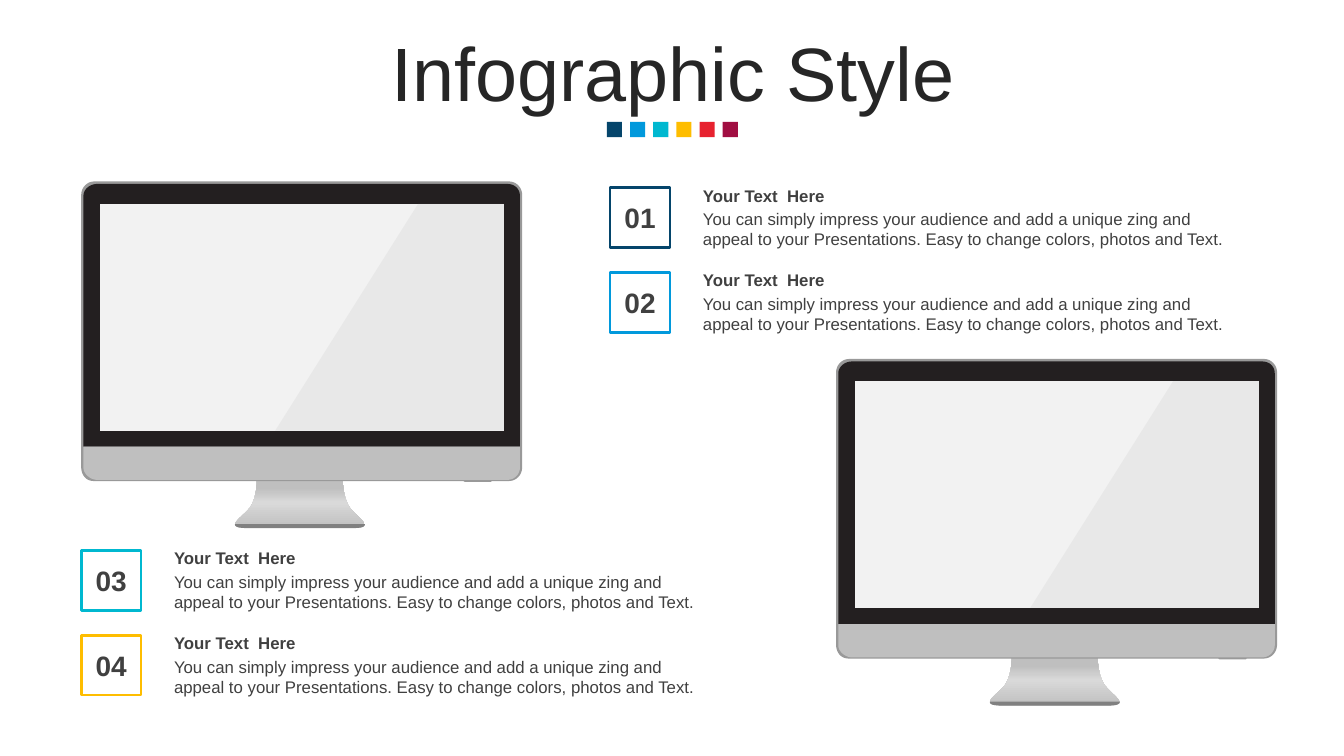
from dataclasses import dataclass
from typing import NamedTuple

from lxml import etree
from pptx import Presentation
from pptx.dml.color import RGBColor
from pptx.enum.shapes import MSO_SHAPE as Preset
from pptx.enum.text import MSO_ANCHOR as Anchor, PP_ALIGN as Align
from pptx.oxml.ns import qn
from pptx.util import Pt


@dataclass(frozen=True)
class Theme:
    font: str = "Arial"
    title_size: int = 54
    number_size: int = 20
    body_size: int = 12
    title: str = "262626"
    text: str = "404040"
    edge: str = "999999"
    bezel: str = "231F20"
    chin: str = "BFBFBF"
    screen: str = "F2F2F2"
    foot: str = "808080"
    stand: tuple = ((0, "BFBFBF"), (53, "D9D9D9"), (83, "BFBFBF"), (100, "BFBFBF"))
    accents: tuple = ("05456B", "0199DC", "00B8D0", "FEBD00", "E7222F", "A10E42")


class Part(NamedTuple):
    """Outline in points from the monitor's corner; six numbers make a curve."""
    outline: tuple
    color: str = ""
    alpha: int = 100


class Column(NamedTuple):
    left: float
    top: float
    first: int


THEME = Theme()
HEADING = "Your Text  Here"
BODY = ("You can simply impress your audience and add a unique zing and "
        "appeal to your Presentations. Easy to change colors, photos and Text.")
CURVE_STEPS = 12

# Monitor, back to front; the stand has no single colour and takes the gradient
MONITOR = (
    Part(((193.3, 234.7), (186.8, 228.2, 186.8, 213.2, 186.8, 213.2), (125.6, 213.2),
          (125.6, 213.2, 125.6, 228.2, 119.1, 234.7),
          (112, 242, 101.9, 247.7, 119.9, 247.7), (192.6, 247.7),
          (210.6, 247.7, 199.8, 242, 193.3, 234.7))),
    Part(((305.6, 0), (9.4, 0), (4.3, 0, 0, 4.3, 0, 9.7), (0, 204),
          (0, 209.7, 3.6, 214, 8.7, 214), (305.6, 214),
          (310.7, 214, 315, 209.7, 315, 204), (315, 9.7),
          (315, 4.3, 310.7, 0, 305.6, 0)), THEME.edge),
    Part(((273.2, 213.2), (273.2, 213.2, 272.5, 214.6, 274.7, 214.6), (291.9, 214.6),
          (291.9, 214.6, 293.4, 215, 293.4, 213.2)), THEME.edge),
    Part(((304.2, 1.8), (11.5, 1.8), (6.5, 1.8, 1.6, 5.4, 1.6, 10.5), (1.6, 189.4),
          (313.4, 189.4), (313.4, 10.5), (313.4, 5.4, 309.8, 1.8, 304.2, 1.8)),
         THEME.bezel),
    Part(((109.8, 244.8), (109.8, 247, 112.7, 247.7, 120.6, 247.7), (192.6, 247.7),
          (199.8, 247.7, 202.7, 247, 202.7, 244.8)), THEME.foot),
    Part(((1.6, 204.5), (1.6, 208.8, 6.5, 213.2, 11.5, 213.2), (304.2, 213.2),
          (309.8, 213.2, 313.4, 208.8, 313.4, 204.5), (313.4, 189.4), (1.6, 189.4)),
         THEME.chin),
    Part(((13.4, 15.8), (302, 15.8), (302, 178), (13.4, 178)), THEME.screen),
    Part(((240.8, 15.8), (302, 15.8), (302, 178), (138.6, 178)), THEME.edge, 10),
)


def rgb(color: str) -> RGBColor:
    return RGBColor.from_string(color)


def flatten(outline: tuple) -> list:
    """Turn lines and cubic curves into one list of points."""
    points = [outline[0]]
    for step in outline[1:]:
        if len(step) == 2:
            points.append(step)
            continue
        corners = (points[-1], step[:2], step[2:4], step[4:])
        for i in range(1, CURVE_STEPS + 1):
            t = i / CURVE_STEPS
            weights = ((1 - t) ** 3, 3 * t * (1 - t) ** 2, 3 * t * t * (1 - t), t ** 3)
            points.append(tuple(sum(w * c[axis] for w, c in zip(weights, corners))
                                for axis in (0, 1)))
    return points


def fill_gradient(shape, stops: tuple) -> None:
    shape.fill.gradient()
    shape.fill.gradient_angle = 90
    stop_list = next(shape.element.iter(qn("a:gsLst")))
    for old in list(stop_list):
        stop_list.remove(old)
    for position, color in stops:
        stop = etree.SubElement(stop_list, qn("a:gs"), pos=str(position * 1000))
        etree.SubElement(stop, qn("a:srgbClr"), val=color)


def fill_solid(shape, color: str, alpha: int = 100) -> None:
    shape.fill.solid()
    shape.fill.fore_color.rgb = rgb(color)
    if alpha < 100:
        solid = next(shape.element.iter(qn("a:srgbClr")))
        etree.SubElement(solid, qn("a:alpha"), val=str(alpha * 1000))


def draw_monitor(shapes, left: float, top: float) -> None:
    for part in MONITOR:
        points = [(Pt(left + x), Pt(top + y)) for x, y in flatten(part.outline)]
        builder = shapes.build_freeform(*points[0])
        builder.add_line_segments(points[1:], close=True)
        piece = builder.convert_to_shape()
        piece.shadow.inherit = False
        if part.color:
            fill_solid(piece, part.color, part.alpha)
        else:
            fill_gradient(piece, THEME.stand)
        piece.line.fill.background()


def add_square(shapes, left: float, top: float, side: float):
    square = shapes.add_shape(Preset.RECTANGLE, Pt(left), Pt(top), Pt(side), Pt(side))
    square.shadow.inherit = False
    return square


def write(shape, words: str, size: int, color: str, bold: bool = False,
          align: Align = Align.LEFT, anchor: Anchor = Anchor.TOP):
    frame = shape.text_frame
    frame.word_wrap = True
    frame.vertical_anchor = anchor
    paragraph = frame.paragraphs[0]
    paragraph.text = words
    paragraph.alignment = align
    font = paragraph.font
    font.name, font.size, font.bold = THEME.font, Pt(size), bold
    font.color.rgb = rgb(color)
    return paragraph


def add_text(shapes, left: float, top: float, width: float, height: float, *args, **kw):
    box = shapes.add_textbox(Pt(left), Pt(top), Pt(width), Pt(height))
    return write(box, *args, **kw)


def draw_item(shapes, left: float, top: float, number: int) -> None:
    badge = add_square(shapes, left, top, 42.8)
    badge.fill.background()
    badge.line.color.rgb = rgb(THEME.accents[number - 1])
    badge.line.width = Pt(2)
    badge.text_frame.margin_left = badge.text_frame.margin_right = 0
    write(badge, f"{number:02}", THEME.number_size, THEME.text, True,
          Align.CENTER, Anchor.MIDDLE)
    add_text(shapes, left + 59.2, top + 11.6, 402.5, 36, BODY,
             THEME.body_size, THEME.text)
    add_text(shapes, left + 59.2, top - 5.3, 402.5, 21.6, HEADING,
             THEME.body_size, THEME.text, True)


def main() -> None:
    deck = Presentation()
    deck.slide_width, deck.slide_height = Pt(960), Pt(540)
    shapes = deck.slides.add_slide(deck.slide_layouts[6]).shapes

    # Monitors
    for left, top in ((58, 129.6), (597.2, 256.4)):
        draw_monitor(shapes, left, top)

    # Title and its colour strip
    for i, accent in enumerate(THEME.accents):
        swatch = add_square(shapes, 433.5 + 16.55 * i, 87.1, 10.8)
        fill_solid(swatch, accent)
        swatch.line.fill.background()
    title = add_text(shapes, 25.2, 26.6, 911.5, 56.9, "Infographic Style",
                     THEME.title_size, THEME.title, align=Align.CENTER,
                     anchor=Anchor.MIDDLE)
    title.line_spacing = 0.9

    # Numbered items, two in each column
    for column in (Column(435.8, 134.1, 1), Column(58, 393.1, 3)):
        for row in range(2):
            draw_item(shapes, column.left, column.top + 60.6 * row, column.first + row)

    deck.save("out.pptx")


if __name__ == "__main__":
    main()
